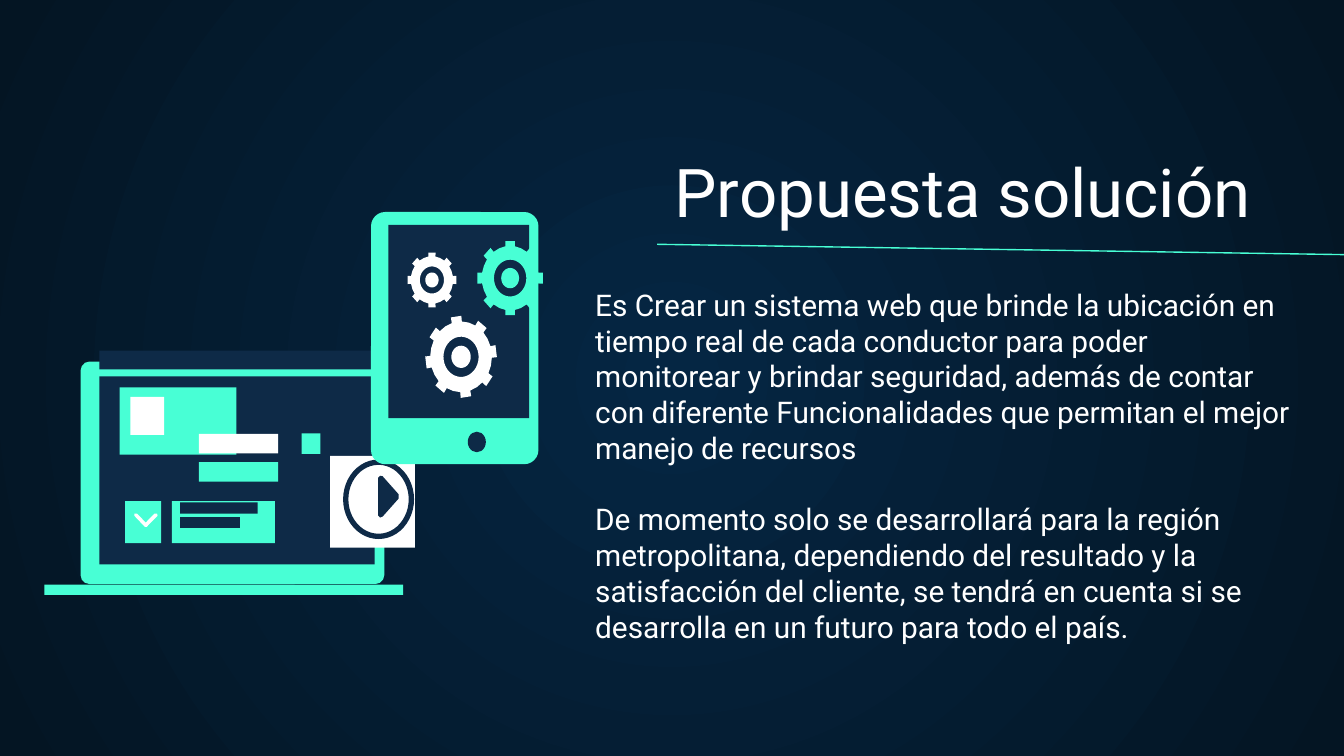
from math import cos, radians, sin

from lxml import etree
from pptx import Presentation
from pptx.dml.color import RGBColor
from pptx.enum.shapes import MSO_CONNECTOR, MSO_SHAPE
from pptx.enum.text import MSO_ANCHOR, MSO_AUTO_SIZE, PP_ALIGN
from pptx.oxml import parse_xml
from pptx.oxml.ns import nsdecls, qn
from pptx.util import Pt

RECT, ROUND = MSO_SHAPE.RECTANGLE, MSO_SHAPE.ROUNDED_RECTANGLE
OVAL, RING = MSO_SHAPE.OVAL, MSO_SHAPE.DONUT

# Content
TITLE = "Propuesta solución"
BODY = [
    "Es Crear un sistema web que brinde la ubicación en tiempo real de cada "
    "conductor para poder monitorear y brindar seguridad, además de contar con "
    "diferente Funcionalidades que permitan el mejor manejo de recursos",
    "De momento solo se desarrollará para la región metropolitana, dependiendo "
    "del resultado y la satisfacción del cliente, se tendrá en cuenta si se "
    "desarrolla en un futuro para todo el país.",
]

THEME = {
    "font": "Roboto", "title": 36, "body": 16, "gap": 19, "inset": 7.2, "line": 0.75,
    "mint": "48FFD5", "navy": "0E2A47", "white": "FFFFFF",
    "center": "052643", "edge": "041523",
}

# Illustration: preset, left, top, width, height, colour, adjustment
LAPTOP = [
    (ROUND, 43.2, 193.7, 162.7, 119.2, "mint", 0.04),
    (RECT, 53.3, 201.6, 147.4, 100.8, "navy", None),
    (RECT, 23.8, 313.2, 192.2, 5.6, "mint", None),
    (RECT, 53.3, 187.9, 147.4, 10.1, "navy", None),
    (RECT, 64.1, 207.6, 62.6, 36, "mint", None),
    (RECT, 69.9, 212.6, 18, 20.4, "white", None),
    (RECT, 92.1, 268.4, 55.2, 22.6, "mint", None),
    (RECT, 96.5, 269.2, 41.6, 6, "navy", None),
    (RECT, 96.5, 277, 32, 5.8, "navy", None),
    (RECT, 67, 268.4, 19.3, 22.6, "mint", None),
]
CHECK = [(72, 275.2), (73.4, 275.2), (78.1, 280), (82.8, 275.2), (84.2, 275.2),
         (84.4, 276.4), (78.6, 282.3), (77.6, 282.3), (72, 276.4)]
BUTTONS = [
    (RECT, 106.6, 247.6, 42.4, 10.5, "mint", None),
    (RECT, 106.6, 232.5, 42.4, 10.5, "white", None),
    (RECT, 161.6, 232.2, 10, 11, "mint", None),
    (RECT, 176.9, 244.3, 45.4, 49.2, "white", None),
    (RING, 183.8, 246.2, 38, 42.6, "navy", 0.075),
]
PLAY = [(202.6, 256), (203.6, 254.9), (205, 255.2), (213.5, 264.8),
        (213.5, 267.2), (205, 276.8), (203.6, 277.3), (202.6, 276.2)]
TABLET = [
    (ROUND, 198.8, 113.6, 89.7, 135.1, "mint", 0.085),
    (RECT, 208, 120.5, 75.5, 103.5, "navy", None),
    (OVAL, 250.6, 231.3, 9.7, 11, "navy", None),
]
# Gears: centre x, centre y, radius x, radius y, turn in degrees, colour
GEARS = [
    (273.3, 149, 17.7, 20.1, 0, "mint"),
    (231.4, 150, 13.2, 14.8, 0, "white"),
    (247, 191.2, 19.2, 22, -8, "white"),
]
TEETH, BODY_RATIO, RING_RATIO, HUB_RATIO = 8, 0.86, 0.49, 0.27


def color(name):
    return RGBColor.from_string(THEME[name])


def paint(sp, name):
    sp.shadow.inherit = False
    sp.fill.solid()
    sp.fill.fore_color.rgb = color(name)
    sp.line.fill.background()


def draw_shapes(shapes, parts):
    for kind, x, y, w, h, name, adjustment in parts:
        sp = shapes.add_shape(kind, Pt(x), Pt(y), Pt(w), Pt(h))
        paint(sp, name)
        if adjustment is not None:
            sp.adjustments[0] = adjustment


def draw_outline(shapes, contours, name):
    contours = [[(Pt(x), Pt(y)) for x, y in c] for c in contours]
    builder = shapes.build_freeform(*contours[0][0])
    for i, contour in enumerate(contours):
        if i:
            builder.move_to(*contour[0])
        builder.add_line_segments(contour[1:], close=True)
    paint(builder.convert_to_shape(), name)


def draw_gear(shapes, cx, cy, rx, ry, turn, name):
    def polar(angle, ratio):
        a = radians(angle + turn - 90)
        return cx + rx * ratio * cos(a), cy + ry * ratio * sin(a)

    step = 360 / TEETH
    tooth = [(-9.5, BODY_RATIO), (-8.5, 1), (8.5, 1), (9.5, BODY_RATIO),
             (step / 2, BODY_RATIO)]
    rim = [polar(k * step + a, ratio) for k in range(TEETH) for a, ratio in tooth]
    circles = [[polar(a, ratio) for a in range(0, 360, 10)]
               for ratio in (RING_RATIO, HUB_RATIO)]
    draw_outline(shapes, [rim] + circles, name)


def set_text(sp, paragraphs, size, anchor):
    tf = sp.text_frame
    tf.word_wrap = True
    tf.auto_size = MSO_AUTO_SIZE.NONE
    tf.vertical_anchor = anchor
    tf.margin_left = tf.margin_right = tf.margin_top = tf.margin_bottom = Pt(THEME["inset"])
    for i, text in enumerate(paragraphs):
        p = tf.add_paragraph() if i else tf.paragraphs[0]
        p.alignment = PP_ALIGN.LEFT
        p.space_before = Pt(THEME["gap"] if i else 0)
        r = p.add_run()
        r.text = text
        r.font.name = THEME["font"]
        r.font.size = Pt(size)
        r.font.color.rgb = color("white")


def set_background(slide):
    stops = "".join(f'<a:gs pos="{pos}"><a:srgbClr val="{THEME[name]}"/></a:gs>'
                    for pos, name in ((0, "center"), (100000, "edge")))
    slide.element.cSld.insert(0, parse_xml(
        f'<p:bg {nsdecls("p", "a")}><p:bgPr><a:gradFill><a:gsLst>{stops}</a:gsLst>'
        '<a:path path="circle"><a:fillToRect l="50000" t="50000" r="50000" b="50000"/>'
        '</a:path></a:gradFill><a:effectLst/></p:bgPr></p:bg>'))


prs = Presentation()
prs.slide_width, prs.slide_height = Pt(720), Pt(405)
s = prs.slides.add_slide(prs.slide_layouts[5])
set_background(s)

# Title and body
title = s.shapes.title
title.left, title.top, title.width, title.height = Pt(354.2), Pt(83.5), Pt(348.5), Pt(47.5)
set_text(title, [TITLE], THEME["title"], MSO_ANCHOR.BOTTOM)
body = s.shapes.add_textbox(Pt(311.8), Pt(146.2), Pt(391), Pt(231.8))
set_text(body, BODY, THEME["body"], MSO_ANCHOR.TOP)

# Rule under the title
rule = s.shapes.add_connector(MSO_CONNECTOR.STRAIGHT, Pt(352), Pt(130.9), Pt(746), Pt(136.8))
rule.line.color.rgb = color("mint")
rule.line.width = Pt(THEME["line"])
etree.SubElement(rule._element.spPr, qn("a:effectLst"))

# Laptop, tablet and gears
draw_shapes(s.shapes, LAPTOP)
draw_outline(s.shapes, [CHECK], "white")
draw_shapes(s.shapes, BUTTONS)
draw_outline(s.shapes, [PLAY], "navy")
draw_shapes(s.shapes, TABLET)
for gear in GEARS:
    draw_gear(s.shapes, *gear)

prs.save("out.pptx")
